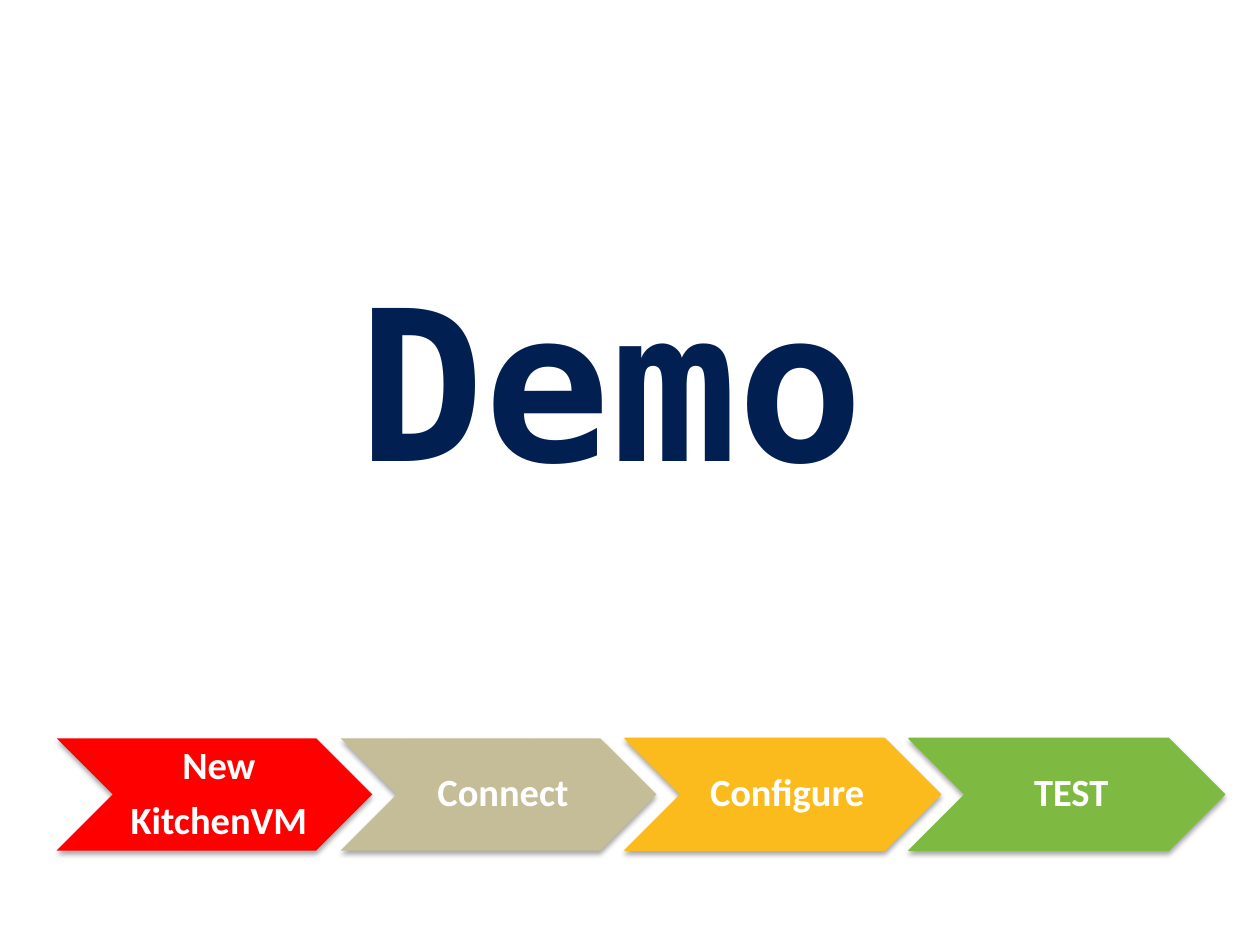
import pptx
import pptx.dml.color
import pptx.enum.shapes
import pptx.enum.text
import pptx.oxml
import pptx.oxml.ns
import pptx.util

Inches, Pt = pptx.util.Inches, pptx.util.Pt
PAGE_WIDTH, PAGE_HEIGHT = 10, 7.5
STEPS = [
    (["New", "KitchenVM"], "FF0000", False),
    (["Connect"], "C4BD97", False),
    (["Configure"], "FCBB1D", True),
    (["TEST"], "7EBA41", True),
]
SHADOW = (
    '<a:effectLst %s><a:outerShdw blurRad="%d" dist="%d" dir="5400000" rotWithShape="0">'
    '<a:srgbClr val="000000"><a:alpha val="35000"/></a:srgbClr></a:outerShdw></a:effectLst>'
    % (pptx.oxml.ns.nsdecls("a"), Pt(3.1), Pt(1.8))
)


def color(value):
    return pptx.dml.color.RGBColor.from_string(value)


def add_label(page, area, lines, font, size, ink, insets, line_spacing=None, space_after=None):
    """Add centred bold text, one paragraph for each line."""
    box = page.shapes.add_textbox(*map(Inches, area))
    frame = box.text_frame
    frame.word_wrap = True
    frame.vertical_anchor = pptx.enum.text.MSO_ANCHOR.MIDDLE
    frame.margin_left, frame.margin_top, frame.margin_right, frame.margin_bottom = map(Inches, insets)
    for index, line in enumerate(lines):
        para = frame.add_paragraph() if index else frame.paragraphs[0]
        para.alignment = pptx.enum.text.PP_ALIGN.CENTER
        para.line_spacing = line_spacing
        para.space_after = space_after
        span = para.add_run()
        span.text = line
        span.font.name = font
        span.font.size = Pt(size)
        span.font.bold = True
        span.font.color.rgb = color(ink)


def add_title(page, area):
    add_label(page, area, ["Demo"], "DejaVu Sans Mono", 120, "011F51", (0.1, 0.05, 0.1, 0.05))


def add_chevron(page, area, fill, outlined):
    chevron = page.shapes.add_shape(pptx.enum.shapes.MSO_SHAPE.CHEVRON, *map(Inches, area))
    chevron.fill.solid()
    chevron.fill.fore_color.rgb = color(fill)
    if outlined:
        chevron.line.color.rgb = color(fill)
        chevron.line.width = Pt(0.75)
    else:
        chevron.line.fill.background()
    chevron.shadow.inherit = False
    properties = chevron._element.spPr
    properties.remove(properties.find(pptx.oxml.ns.qn("a:effectLst")))
    properties.append(pptx.oxml.parse_xml(SHADOW))


def add_process(page, area):
    """Spread the steps over the area, each overlapping the next by a tenth."""
    left, top, width, height = area
    step_width = width / (1 + 0.9 * (len(STEPS) - 1))
    for index, (lines, fill, outlined) in enumerate(STEPS):
        step_left = left + index * 0.9 * step_width
        add_chevron(page, (step_left, top, step_width, height), fill, outlined)
        label_area = (step_left + height / 2, top, step_width - height, height)
        add_label(page, label_area, lines, "Calibri", 22, "FFFFFF",
                  (0.1, 0.03, 0.03, 0.03), 0.9, Pt(7.7))


def main():
    deck = pptx.Presentation()
    deck.slide_width, deck.slide_height = Inches(PAGE_WIDTH), Inches(PAGE_HEIGHT)
    page = deck.slides.add_slide(deck.slide_layouts[6])
    add_title(page, (0.035 * PAGE_WIDTH, 0.248 * PAGE_HEIGHT, 0.9 * PAGE_WIDTH, 0.304 * PAGE_HEIGHT))
    add_process(page, (0.045 * PAGE_WIDTH, 5.86, 9.27, 0.89))
    deck.save("out.pptx")


if __name__ == "__main__":
    main()
